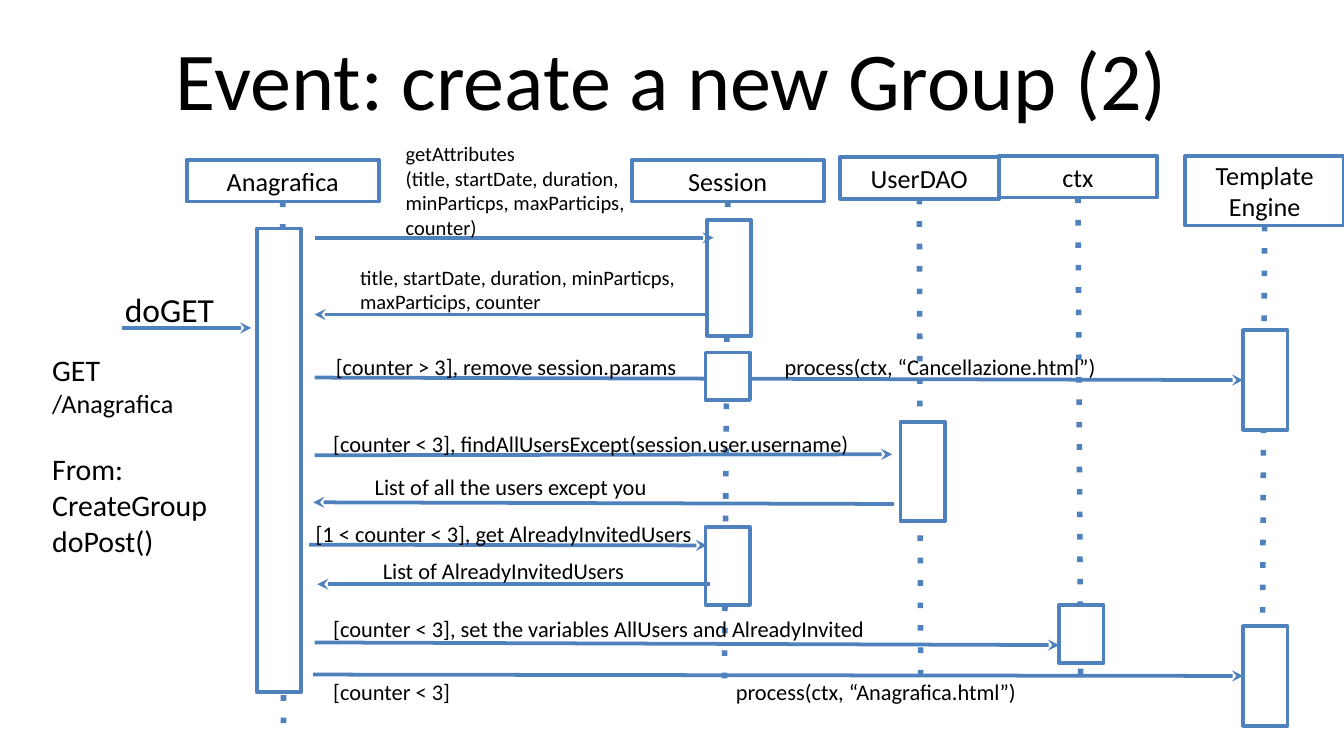
from dataclasses import dataclass

from lxml.etree import SubElement
from pptx import Presentation
from pptx.dml.color import RGBColor
from pptx.enum.shapes import MSO_CONNECTOR as Link, MSO_SHAPE as Kind
from pptx.enum.text import MSO_ANCHOR as Anchor, PP_ALIGN as Align
from pptx.oxml.ns import qn
from pptx.util import Pt

BLUE, WHITE, BLACK = "4F81BD", "FFFFFF", "000000"
FONT = "Calibri"
BAR_W = 23.8


@dataclass
class Head:
    name: str
    x: float
    y: float
    w: float
    h: float
    end_x: float
    end_y: float


@dataclass
class Bar:
    x: float
    y: float
    h: float


@dataclass
class Arrow:
    x1: float
    y1: float
    x2: float
    y2: float
    goal: int | None = None  # index of the bar whose left side it meets


@dataclass
class Line:
    text: str
    size: float
    before: float = 0


@dataclass
class Note:
    x: float
    y: float
    w: float
    h: float
    lines: list[Line]
    tab: float = 0


HEADS = [
    Head("Anagrafica", 100, 85.7, 103, 22.3, 151.9, 396),
    Head("Session", 338.4, 85.7, 103, 22.3, 388.1, 365),
    Head("ctx", 535, 83.5, 85, 22.3, 578.9, 362.9),
    Head("Template\vEngine", 635, 83.5, 85, 37.4, 676.1, 382.3),
    Head("UserDAO", 450, 84.2, 85, 22.3, 493.2, 363.6),
]
BARS = [
    Bar(137.5, 122.4, 248.4),  # Anagrafica
    Bar(378.7, 118, 62), Bar(378, 282.2, 41.8),  # Session
    Bar(482.4, 226, 53.3),  # UserDAO
    Bar(567.4, 324, 31.4),  # ctx
    Bar(666, 177, 53.3), Bar(666, 335.5, 53.3),  # Template Engine
]
PASSED = Bar(378, 188.9, 25.4)  # Session bar crossed by a call
ARROWS = [
    Arrow(65.5, 175.7, 134.6, 175.7),
    Arrow(168.5, 127.4, 382.3, 127.4),
    Arrow(378.7, 168.5, 168.5, 168.5),
    Arrow(168.5, 202.3, 666, 203.6, 5),
    Arrow(168.5, 243.9, 478, 243.4),
    Arrow(478.8, 270, 167.8, 269.1),
    Arrow(165.6, 291.8, 378.7, 292.2),
    Arrow(380.2, 313, 170, 313),
    Arrow(168.5, 344.2, 567.4, 345.6),
    Arrow(167.8, 361.4, 666, 362.2, 6),
]
NOTES = [
    Note(59.8, 151.2, 72, 21.6, [Line("doGET", 18)]),
    Note(20.9, 185, 113.8, 179.3, [
        Line("GET", 16), Line("/Anagrafica", 14),
        Line("From:", 16, 17), Line("CreateGroup doPost()", 16)]),
    Note(210.2, 72, 137.5, 79.2, [
        Line("getAttributes", 11),
        Line("(title, startDate, duration, minParticps, "
             "maxParticips, counter)", 11)]),
    Note(185.8, 138.2, 205.2, 43.2, [
        Line("title, startDate, duration, minParticps, "
             "maxParticips, counter", 11)]),
    Note(172.8, 185.8, 457.2, 31, [
        Line("[counter > 3], remove session.params\t"
             "process(ctx, “Cancellazione.html”)", 12)], 240.5),
    Note(171.4, 226.8, 296.6, 25.2, [
        Line("[counter < 3], findAllUsersExcept(session.user.username)", 12)]),
    Note(193.7, 249.8, 170.6, 25.2, [
        Line("List of all the users except you", 12)]),
    Note(162, 275, 226, 19.4, [
        Line("[1 < counter < 3], get AlreadyInvitedUsers", 12)]),
    Note(198, 295.2, 168.5, 31, [Line("List of AlreadyInvitedUsers", 12)]),
    Note(171.4, 326.2, 368.6, 19.4, [
        Line("[counter < 3], set the variables AllUsers and AlreadyInvited",
             12)]),
    Note(171.4, 360, 476.6, 25.2, [
        Line("[counter < 3]\tprocess(ctx, “Anagrafica.html”)", 12)], 215.7),
]


def rgb(code: str) -> RGBColor:
    return RGBColor.from_string(code)


def style(par, size: float) -> None:
    font = par.font
    font.name, font.size = FONT, Pt(size)
    font.color.rgb = rgb(BLACK)


def add_rect(shapes, x: float, y: float, w: float, h: float):
    rect = shapes.add_shape(Kind.RECTANGLE, Pt(x), Pt(y), Pt(w), Pt(h))
    rect.shadow.inherit = False
    rect.fill.solid()
    rect.fill.fore_color.rgb = rgb(WHITE)
    rect.line.color.rgb = rgb(BLUE)
    rect.line.width = Pt(2)
    return rect


def add_bar(shapes, bar: Bar):
    return add_rect(shapes, bar.x, bar.y, BAR_W, bar.h)


def add_link(shapes, x1: float, y1: float, x2: float, y2: float,
             width: float, part: str, **attrs: str):
    link = shapes.add_connector(Link.STRAIGHT, Pt(x1), Pt(y1), Pt(x2), Pt(y2))
    link.line.color.rgb = rgb(BLUE)
    link.line.width = Pt(width)
    props = link._element.spPr
    SubElement(props.find(qn("a:ln")), qn(part), attrs)
    SubElement(props, qn("a:effectLst"))
    return link


def add_head(shapes, head: Head) -> None:
    rect = add_rect(shapes, head.x, head.y, head.w, head.h)
    frame = rect.text_frame
    frame.word_wrap = True
    frame.vertical_anchor = Anchor.MIDDLE
    frame.text = head.name
    par = frame.paragraphs[0]
    par.alignment = Align.CENTER
    style(par, 14)
    life = add_link(shapes, head.x + head.w / 2, head.y + head.h,
                    head.end_x, head.end_y, 3, "a:prstDash", val="dot")
    life.begin_connect(rect, 2)


def add_arrow(shapes, arrow: Arrow, bars: list) -> None:
    link = add_link(shapes, arrow.x1, arrow.y1, arrow.x2, arrow.y2,
                    2, "a:tailEnd", type="stealth")
    if arrow.goal is not None:
        link.end_connect(bars[arrow.goal], 1)


def add_note(shapes, note: Note):
    box = shapes.add_textbox(Pt(note.x), Pt(note.y), Pt(note.w), Pt(note.h))
    frame = box.text_frame
    frame.word_wrap = True
    for i, line in enumerate(note.lines):
        par = frame.add_paragraph() if i else frame.paragraphs[0]
        par.text = line.text
        if line.before:
            par.space_before = Pt(line.before)
        if note.tab:
            tabs = SubElement(par._p.get_or_add_pPr(), qn("a:tabLst"))
            SubElement(tabs, qn("a:tab"), pos=str(Pt(note.tab)), algn="l")
        style(par, line.size)
    return frame


def main() -> None:
    deck = Presentation()
    deck.slide_width, deck.slide_height = Pt(720), Pt(405)
    shapes = deck.slides.add_slide(deck.slide_layouts[6]).shapes

    # Title
    title = add_note(shapes, Note(36, 7.9, 648, 67, [
        Line("Event: create a new Group (2)", 44)]))
    title.margin_left = title.margin_right = 0
    title.margin_top = title.margin_bottom = 0
    title.vertical_anchor = Anchor.MIDDLE
    title.paragraphs[0].alignment = Align.CENTER

    # Participants with their lifelines
    for head in HEADS:
        add_head(shapes, head)

    # Activations and messages
    bars = [add_bar(shapes, bar) for bar in BARS]
    for arrow in ARROWS:
        add_arrow(shapes, arrow, bars)
    add_bar(shapes, PASSED)

    # Labels
    for note in NOTES:
        add_note(shapes, note)

    deck.save("out.pptx")


if __name__ == "__main__":
    main()
